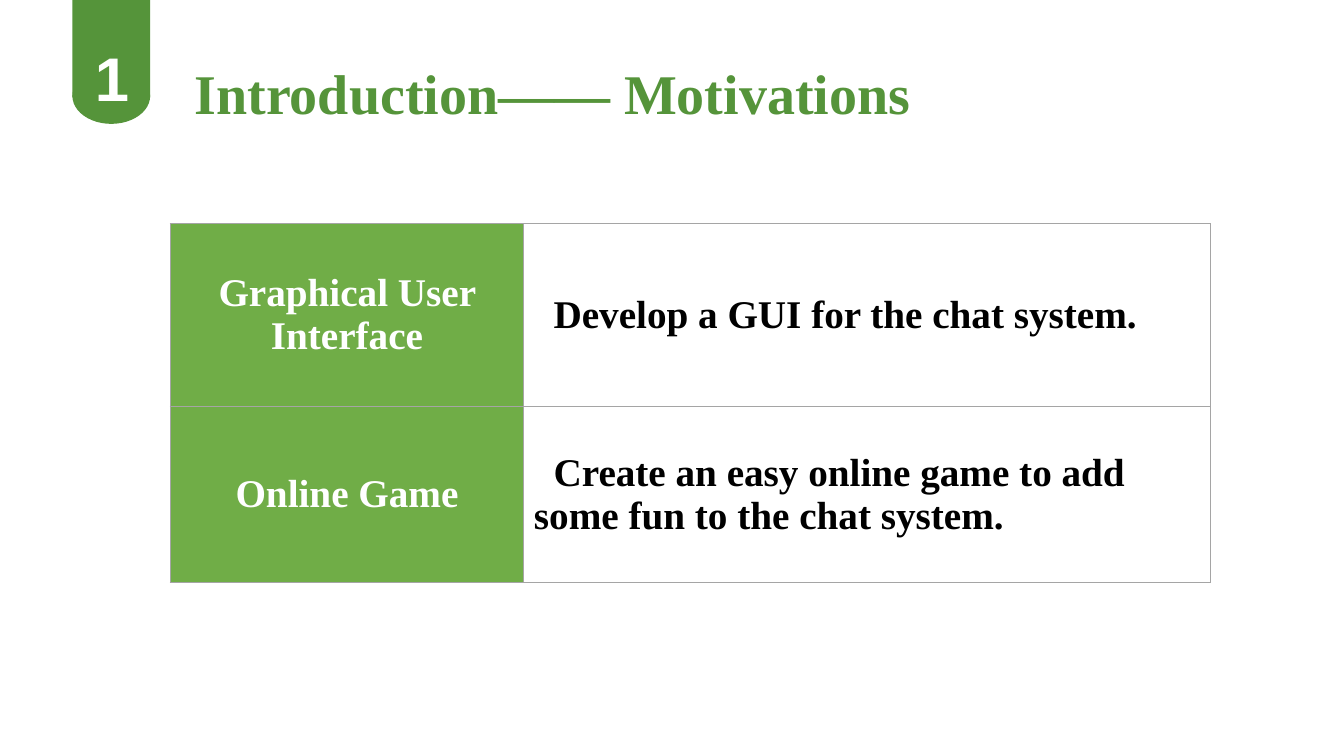
from dataclasses import dataclass

from pptx import Presentation
from pptx.dml.color import RGBColor
from pptx.enum.shapes import MSO_SHAPE as Shape
from pptx.enum.text import MSO_ANCHOR as Anchor, MSO_AUTO_SIZE as Fit, PP_ALIGN as Align
from pptx.oxml import parse_xml
from pptx.oxml.ns import nsdecls
from pptx.util import Emu, Pt

GREEN, LEAF, WHITE, BLACK, GRAY = "55943A", "70AD47", "FFFFFF", "000000", "A5A5A5"
SERIF, SANS = "Times New Roman", "Arial"


@dataclass
class Box:
    x: int
    y: int
    w: int
    h: int


@dataclass
class Label:
    box: Box
    text: str
    size: int
    face: str
    color: str


@dataclass
class Goal:
    name: str
    text: str
    height: int


TAB = [(Shape.OVAL, Box(69, 65, 74, 53)), (Shape.RECTANGLE, Box(69, 0, 74, 93))]
LABELS = [
    Label(Box(81, 33, 52, 81), "1", 44, SANS, WHITE),
    Label(Box(176, 51, 763, 74), "Introduction—— Motivations", 40, SERIF, GREEN),
]
GOALS = [
    Goal("Graphical User Interface", "Develop a GUI for the chat system.", 174),
    Goal("Online Game", "Create an easy online game to add some fun to the chat system.", 168),
]
WIDTHS = [337, 654]
GRID = Box(162, 213, sum(WIDTHS), sum(goal.height for goal in GOALS))


def px(n: int) -> Emu:
    return Emu(n * 9525)


def rgb(color: str) -> RGBColor:
    return RGBColor.from_string(color)


def place(box: Box) -> tuple:
    return px(box.x), px(box.y), px(box.w), px(box.h)


def style(frame, size: int, face: str, color: str) -> None:
    for run in frame.paragraphs[0].runs:
        font = run.font
        font.size, font.name, font.bold = Pt(size), face, True
        font.color.rgb = rgb(color)


def add_form(slide, kind, box: Box) -> None:
    form = slide.shapes.add_shape(kind, *place(box))
    form.shadow.inherit = False
    form.fill.solid()
    form.fill.fore_color.rgb = rgb(GREEN)
    form.line.fill.background()


def add_label(slide, label: Label) -> None:
    frame = slide.shapes.add_textbox(*place(label.box)).text_frame
    frame.word_wrap = True
    frame.auto_size = Fit.SHAPE_TO_FIT_TEXT
    frame.text = label.text
    style(frame, label.size, label.face, label.color)


def set_cell(cell, text: str, fill: str, color: str) -> None:
    cell.text_frame.text = text
    style(cell.text_frame, 28, SERIF, color)
    cell.vertical_anchor = Anchor.MIDDLE
    cell.margin_top = cell.margin_bottom = 0
    # Borders come before the fill in the cell properties
    props = cell._tc.get_or_add_tcPr()
    for side in ("lnL", "lnR", "lnT", "lnB"):
        props.append(parse_xml(
            f'<a:{side} {nsdecls("a")} w="{Pt(0.75)}"><a:solidFill>'
            f'<a:srgbClr val="{GRAY}"/></a:solidFill></a:{side}>'))
    cell.fill.solid()
    cell.fill.fore_color.rgb = rgb(fill)


def add_goals(slide) -> None:
    table = slide.shapes.add_table(len(GOALS), len(WIDTHS), *place(GRID)).table
    table.first_row = table.horz_banding = False
    for col, width in zip(table.columns, WIDTHS):
        col.width = px(width)
    for row, goal in zip(table.rows, GOALS):
        row.height = px(goal.height)
        head, body = row.cells
        set_cell(head, goal.name, LEAF, WHITE)
        head.text_frame.paragraphs[0].alignment = Align.CENTER
        set_cell(body, goal.text, WHITE, BLACK)
        para = body.text_frame.paragraphs[0]
        para.space_after = Pt(16)
        # First-line indent
        props = para._p.get_or_add_pPr()
        props.set("marL", "0")
        props.set("indent", str(Pt(14)))


def main() -> None:
    deck = Presentation()
    deck.slide_width, deck.slide_height = px(1280), px(720)
    slide = deck.slides.add_slide(deck.slide_layouts[6])
    # Number tab and title
    for kind, box in TAB:
        add_form(slide, kind, box)
    for label in LABELS:
        add_label(slide, label)
    # Table of motivations
    add_goals(slide)
    deck.save("out.pptx")


if __name__ == "__main__":
    main()
